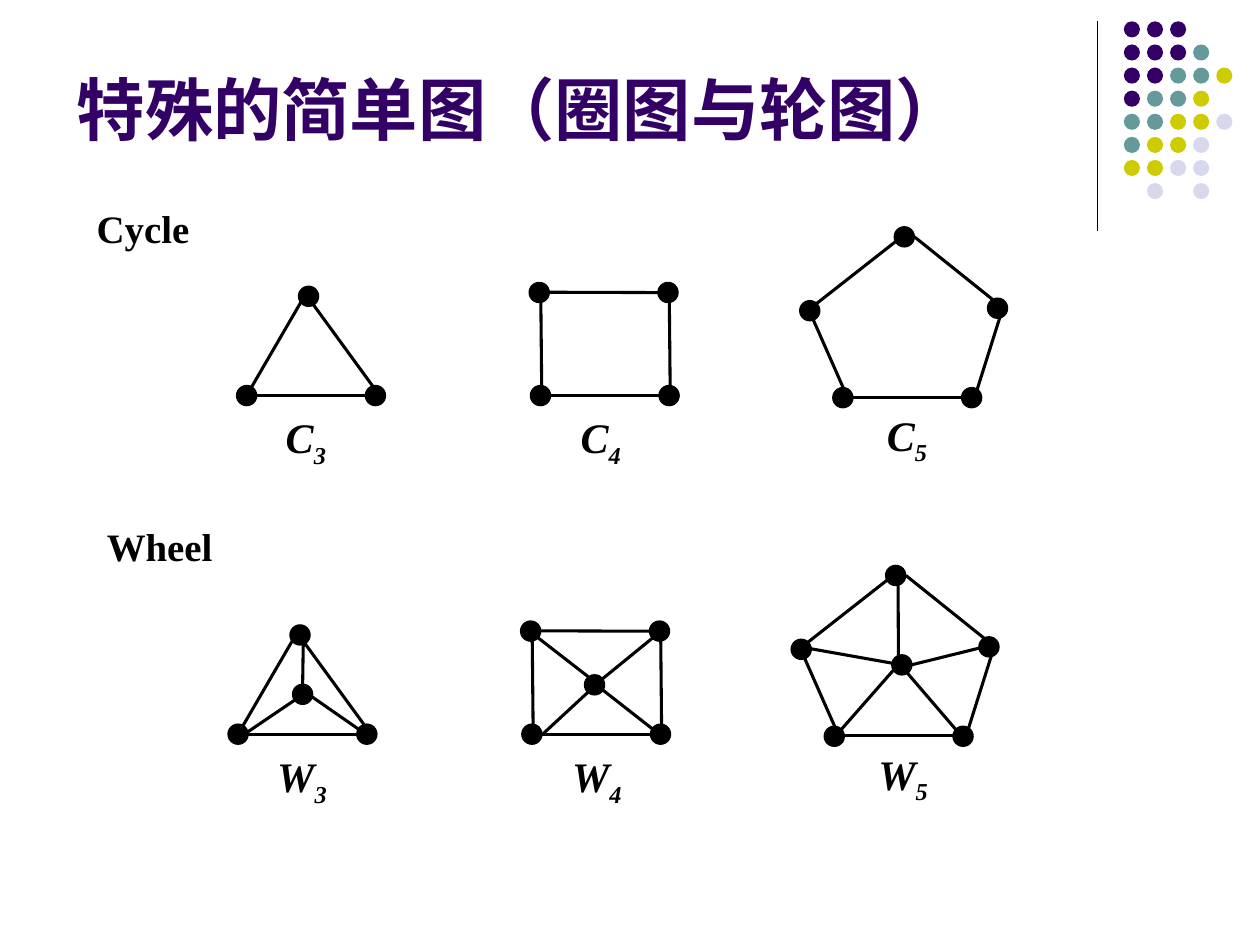
from lxml.etree import SubElement
from pptx import Presentation
from pptx.dml.color import RGBColor
from pptx.enum.shapes import MSO_CONNECTOR, MSO_SHAPE
from pptx.enum.text import MSO_ANCHOR, MSO_AUTO_SIZE, PP_ALIGN
from pptx.oxml.ns import qn
from pptx.util import Pt

BLACK = RGBColor(0x00, 0x00, 0x00)
PURPLE = RGBColor(0x33, 0x00, 0x66)
TEAL = RGBColor(0x66, 0x99, 0x99)
OLIVE = RGBColor(0xCC, 0xCC, 0x00)
PALE = RGBColor(0xD8, 0xD8, 0xEC)

HEAD = {"name": "Arial", "size": Pt(39), "bold": True}
WORD = {"name": "Times New Roman", "size": Pt(22.2), "bold": True}
MARK = {"name": "Times New Roman", "size": Pt(24), "bold": True, "italic": True}

deck = Presentation()
deck.slide_width, deck.slide_height = Pt(720), Pt(540)
slide = deck.slides.add_slide(deck.slide_layouts[5])
shapes = slide.shapes


def add_line(x1, y1, x2, y2, width=1.75):
    line = shapes.add_connector(MSO_CONNECTOR.STRAIGHT, Pt(x1), Pt(y1), Pt(x2), Pt(y2))
    line.line.color.rgb = BLACK
    line.line.width = Pt(width)
    SubElement(line._element.spPr, qn("a:effectLst"))


def add_run(para, text, style, color):
    run = para.add_run()
    run.text = text
    for key, value in style.items():
        setattr(run.font, key, value)
    run.font.color.rgb = color
    return run


title = shapes.title
box = {"left": Pt(36.7), "top": Pt(20.2), "width": Pt(594), "height": Pt(68.4)}
for key, value in box.items():
    setattr(title, key, value)
frame = title.text_frame
frame.auto_size = MSO_AUTO_SIZE.NONE
frame.vertical_anchor = MSO_ANCHOR.BOTTOM
frame.paragraphs[0].alignment = PP_ALIGN.LEFT
add_run(frame.paragraphs[0], "特殊的简单图（圈图与轮图）", HEAD, PURPLE)

add_line(627.1, 12.2, 627.1, 131.8, 0.75)
tints = {"P": PURPLE, "T": TEAL, "O": OLIVE, "L": PALE}
rows = ["PPP", "PPPT", "PPTTO", "PTTO", "TTOOL", "TOOL", "OOLL", ".L.L"]
for row, codes in enumerate(rows):
    for col, code in enumerate(codes):
        if code in tints:
            dot = shapes.add_shape(MSO_SHAPE.OVAL, Pt(642.2 + 13.2 * col),
                                   Pt(12.2 + 13.2 * row), Pt(9.2), Pt(9.2))
            dot.shadow.inherit = False
            dot.fill.solid()
            dot.fill.fore_color.rgb = tints[code]
            dot.line.fill.background()

nodes = {
    3: [(135.2, 220.3), (208.8, 220.3), (170.6, 163.6)],
    4: [(302.4, 161.4), (376, 161.4), (303.1, 220.3), (376.6, 220.3)],
    5: [(564.3, 170.4), (511, 129.6), (457, 171.8), (475.9, 221.5), (549.5, 221.5)],
}
edges = {
    3: [(146, 226, 209, 226), (177, 164, 143.3, 222), (179, 174, 216, 224.8)],
    4: [(314, 167, 376, 167.2), (314.5, 226, 376.5, 226),
        (383, 226, 382.4, 163.5), (309.6, 227.5, 309, 165)],
    5: [(487.3, 227, 549.5, 227), (466.6, 173.5, 520.8, 131), (522.6, 135.4, 567.5, 171.4),
        (557, 227, 571.8, 180), (464.4, 182, 486, 231)],
}
hubs = {3: (167.2, 391), 4: (334, 385.6), 5: (509.6, 374.2)}
spokes = {
    3: [(173, 394.5, 214, 423), (168.5, 400, 139, 420), (173.4, 361, 172.8, 400)],
    4: [(303, 361, 336, 386.6), (337.7, 389, 381.6, 423.4),
        (309.6, 420, 344.2, 388), (377.3, 361, 344.2, 388)],
    5: [(456.5, 369.5, 510, 379), (513.2, 333.4, 513.4, 374.4), (518.4, 384.5, 553, 424.8),
        (520.6, 380, 563, 369.5), (510.5, 383, 479.5, 418.3)],
}
marks = {3: (156.2, 231.8), 4: (324.7, 231.8), 5: (499.7, 230.4)}

for name, dx, dy in [("C", 0, 0), ("W", -4.9, 193.5)]:
    for size in nodes:
        for x1, y1, x2, y2 in edges[size]:
            add_line(x1 + dx, y1 + dy, x2 + dx, y2 + dy)
        spots = [(x + dx, y + dy) for x, y in nodes[size]]
        if name == "W":
            spots.append(hubs[size])
            for spoke in spokes[size]:
                add_line(*spoke)
        for x, y in spots:
            node = shapes.add_shape(MSO_SHAPE.FLOWCHART_CONNECTOR, Pt(x), Pt(y), Pt(11.5), Pt(11.5))
            node.shadow.inherit = False
            node.fill.solid()
            node.fill.fore_color.rgb = BLACK
            node.line.color.rgb = BLACK
            node.line.width = Pt(0.75)
        x, y = marks[size]
        label = shapes.add_shape(MSO_SHAPE.RECTANGULAR_CALLOUT, Pt(x + dx), Pt(y + dy), Pt(56.9), Pt(39.6))
        label.shadow.inherit = False
        label.fill.background()
        label.line.fill.background()
        frame = label.text_frame
        frame.word_wrap = True
        frame.vertical_anchor = MSO_ANCHOR.TOP
        para = frame.paragraphs[0]
        para.alignment = PP_ALIGN.LEFT
        add_run(para, name, MARK, BLACK)
        sub = add_run(para, str(size), MARK, BLACK)
        sub._r.get_or_add_rPr().set("baseline", "-25000")

for text, x, y in [("Cycle", 48.2, 116.6), ("Wheel", 54, 298.1)]:
    frame = shapes.add_textbox(Pt(x), Pt(y), Pt(96.5), Pt(36)).text_frame
    frame.word_wrap = True
    para = frame.paragraphs[0]
    para.alignment = PP_ALIGN.JUSTIFY
    para.line_spacing = 0.9
    add_run(para, text, WORD, BLACK)

deck.save("out.pptx")
